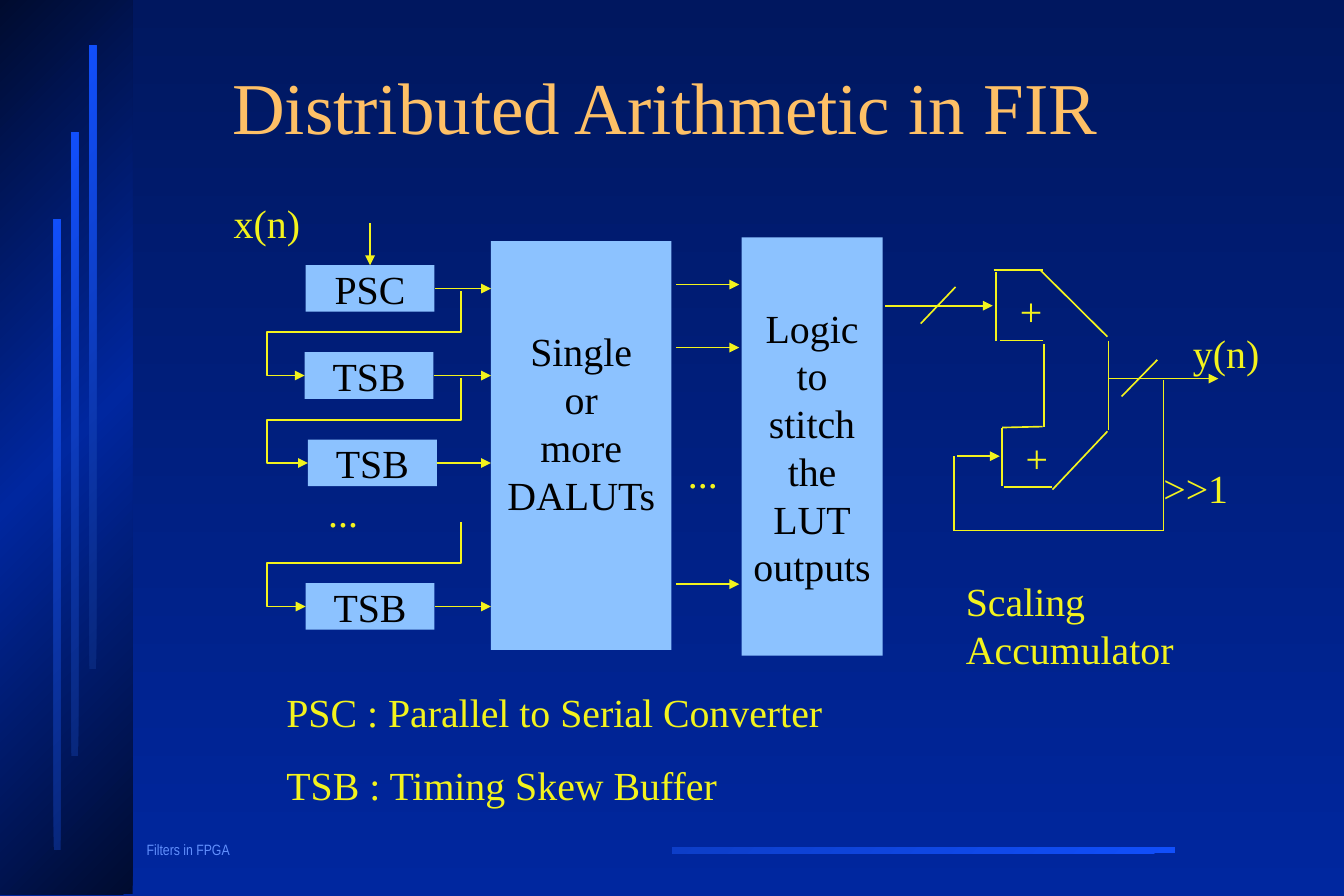
from copy import deepcopy
from dataclasses import dataclass

from pptx import Presentation
from pptx.dml.color import RGBColor as Rgb
from pptx.enum.shapes import MSO_CONNECTOR as Link, MSO_SHAPE as Kind
from pptx.enum.text import MSO_ANCHOR as Anchor, PP_ALIGN as Align
from pptx.oxml.ns import qn
from pptx.oxml.xmlchemy import OxmlElement as Node
from pptx.util import Cm, Pt


@dataclass(frozen=True)
class Theme:
    ink: str = "000000"
    box: str = "8CC2FF"
    wire: str = "F3F31D"
    head: str = "FEC066"
    foot: str = "618FFD"
    back: tuple = ("00175F", "00279F")
    side: tuple = ("000B2F", "00279F", "000B2F")
    bar: tuple = ("08277C", "114FFB")
    rule: tuple = ("114FFB", "0D3EC8")
    serif: str = "Times New Roman"
    sans: str = "Arial Narrow"
    big: int = 44
    mid: int = 24
    small: int = 9
    thin: int = 1
    gap: int = 15


T = Theme()

TITLE = "Distributed Arithmetic in FIR"
FOOTER = "Filters in FPGA"
PANELS = [
    (0, 0, 2.82, 19.02, T.side),
    (14.3, 18.01, 10.69, 0.13, T.rule),
    (1.14, 4.67, 0.15, 13.41, T.bar),
    (1.52, 2.82, 0.15, 13.26, T.bar),
    (1.9, 0.97, 0.15, 13.26, T.bar),
]
STAGES = [("PSC", 6.5, 5.64), ("TSB", 6.48, 7.49), ("TSB", 6.55, 9.35), ("TSB", 6.5, 12.4)]
STAGE_W, STAGE_H = 2.74, 0.99
TABLES = (["Single", "or", "more", "DALUTs"], 10.44, 5.13, 3.84, 8.69)
LOGIC = (["Logic", "to", "stitch", "the", "LUT", "outputs"], 15.77, 5.05, 3, 8.89)
BUS_X, TAP_X = 5.68, 9.8
LUT_ROWS = [6.05, 7.39, 12.42]
ADDER = [
    (21.13, 5.74, 22.17, 5.74),
    (21.18, 5.79, 21.18, 7.24),
    (21.26, 7.24, 22.17, 7.24),
    (22.2, 7.32, 22.2, 9.07),
    (22.17, 9.07, 21.31, 9.09),
    (21.31, 9.09, 21.31, 10.34),
    (21.36, 10.36, 22.38, 10.36),
    (22.12, 5.74, 23.55, 7.16),
    (23.57, 7.24, 23.57, 9.14),
    (22.38, 10.41, 23.55, 9.17),
]
LOOP = [
    (24.74, 8.08, 24.74, 11.28),
    (24.74, 11.28, 20.29, 11.28),
    (20.29, 11.28, 20.29, 9.7),
]
SLASHES = [(24.61, 7.65, 23.85, 8.43), (20.32, 6.1, 19.58, 6.88)]
ARROWS = [
    (23.57, 8.05, 25.91, 8.05),
    (20.35, 9.7, 21.26, 9.7),
    (18.82, 6.5, 21.11, 6.5),
]
LABELS = [
    (["x(n)"], 4.72, 4.11, 2.3, 1.27),
    (["+"], 21.44, 5.97, 0.86, 1.27),
    (["+"], 21.56, 9.09, 0.99, 1.27),
    (["y(n)"], 25.12, 6.86, 2.16, 1.27),
    ([">>1"], 24.49, 9.73, 2.06, 1.27),
    (["..."], 14.38, 9.42, 1.47, 1.27),
    (["..."], 6.73, 10.24, 2.74, 1.27),
    (["Scaling Accumulator"], 20.29, 12.14, 5.05, 2.29),
    (["PSC : Parallel to Serial Converter", "TSB : Timing Skew Buffer"], 5.84, 14.5, 17.07, 2.82),
]


def write(frame, lines, color, size=T.mid, face=T.serif, align=Align.LEFT, gap=0, lead=1.0):
    for i, line in enumerate(lines):
        para = frame.add_paragraph() if i else frame.paragraphs[0]
        para.text = line
        para.alignment = align
        para.line_spacing = lead
        if i:
            para.space_before = Pt(gap)
        para.font.size = Pt(size)
        para.font.name = face
        para.font.color.rgb = Rgb.from_string(color)


def label(slide, lines, x, y, w, h, color=T.wire, **style):
    frame = slide.shapes.add_textbox(Cm(x), Cm(y), Cm(w), Cm(h)).text_frame
    frame.word_wrap = True
    write(frame, lines, color, gap=T.gap, **style)
    return frame


def blend(fill, host, colors, angle):
    fill.gradient()
    fill.gradient_angle = 360 - angle
    stops = next(host.element.iter(qn("a:gsLst")))
    while len(stops) < len(colors):
        stops.append(deepcopy(stops[0]))
    for i, (stop, color) in enumerate(zip(fill.gradient_stops, colors)):
        stop.position = i / (len(colors) - 1)
        stop.color.rgb = Rgb.from_string(color)


def rect(slide, x, y, w, h):
    shape = slide.shapes.add_shape(Kind.RECTANGLE, Cm(x), Cm(y), Cm(w), Cm(h))
    shape.shadow.inherit = False
    shape.line.fill.background()
    return shape


def block(slide, lines, x, y, w, h):
    shape = rect(slide, x, y, w, h)
    shape.fill.solid()
    shape.fill.fore_color.rgb = Rgb.from_string(T.box)
    frame = shape.text_frame
    frame.word_wrap = False
    frame.vertical_anchor = Anchor.MIDDLE
    write(frame, lines, T.ink, align=Align.CENTER)
    return shape


def stroke(shape, arrow):
    shape.line.color.rgb = Rgb.from_string(T.wire)
    shape.line.width = Pt(T.thin)
    if arrow:
        tip = Node("a:tailEnd")
        tip.set("type", "triangle")
        next(shape.element.iter(qn("a:ln"))).append(tip)


def wire(slide, x1, y1, x2, y2, arrow=False):
    line = slide.shapes.add_connector(Link.STRAIGHT, Cm(x1), Cm(y1), Cm(x2), Cm(y2))
    stroke(line, arrow)
    line.element.spPr.append(Node("a:effectLst"))
    return line


def elbow(slide, x, y):
    pts = [(TAP_X, y - 1.8), (TAP_X, y - 0.92), (BUS_X, y - 0.92), (BUS_X, y), (x, y)]
    pts = [(Cm(a), Cm(b)) for a, b in pts]
    pen = slide.shapes.build_freeform(*pts[0])
    pen.add_line_segments(pts[1:], close=False)
    path = pen.convert_to_shape()
    path.shadow.inherit = False
    path.fill.background()
    stroke(path, True)


def main():
    deck = Presentation()
    deck.slide_width, deck.slide_height = Cm(28.58), Cm(19.05)
    slide = deck.slides.add_slide(deck.slide_layouts[6])
    blend(slide.background.fill, slide, T.back, 90)

    label(slide, [FOOTER], 2.87, 17.78, 3.81, 0.58, T.foot, size=T.small, face=T.sans, lead=0.9)
    for *place, colors in PANELS:
        panel = rect(slide, *place)
        blend(panel.fill, panel, colors, 225)
    head = label(slide, [TITLE], 2.76, 0.53, 22.78, 3.71, T.head,
                 size=T.big, align=Align.CENTER, lead=0.85)
    head.vertical_anchor = Anchor.MIDDLE

    tables = block(slide, *TABLES)
    tables.text_frame.margin_bottom = Cm(1.1)
    block(slide, *LOGIC)
    for i, (name, x, y) in enumerate(STAGES):
        stage = block(slide, [name], x, y, STAGE_W, STAGE_H)
        mid = y + STAGE_H / 2
        feed = wire(slide, x + STAGE_W, mid, TABLES[1], mid, True)
        feed.begin_connect(stage, 3)
        if i:
            elbow(slide, x, mid)
        else:
            top = x + STAGE_W / 2
            wire(slide, top, 4.75, top, y, True).end_connect(stage, 0)

    for ends in ADDER + LOOP + SLASHES:
        wire(slide, *ends)
    for ends in ARROWS + [(14.37, y, 15.72, y) for y in LUT_ROWS]:
        wire(slide, *ends, arrow=True)
    for item in LABELS:
        label(slide, *item)
    deck.save("out.pptx")


if __name__ == "__main__":
    main()
